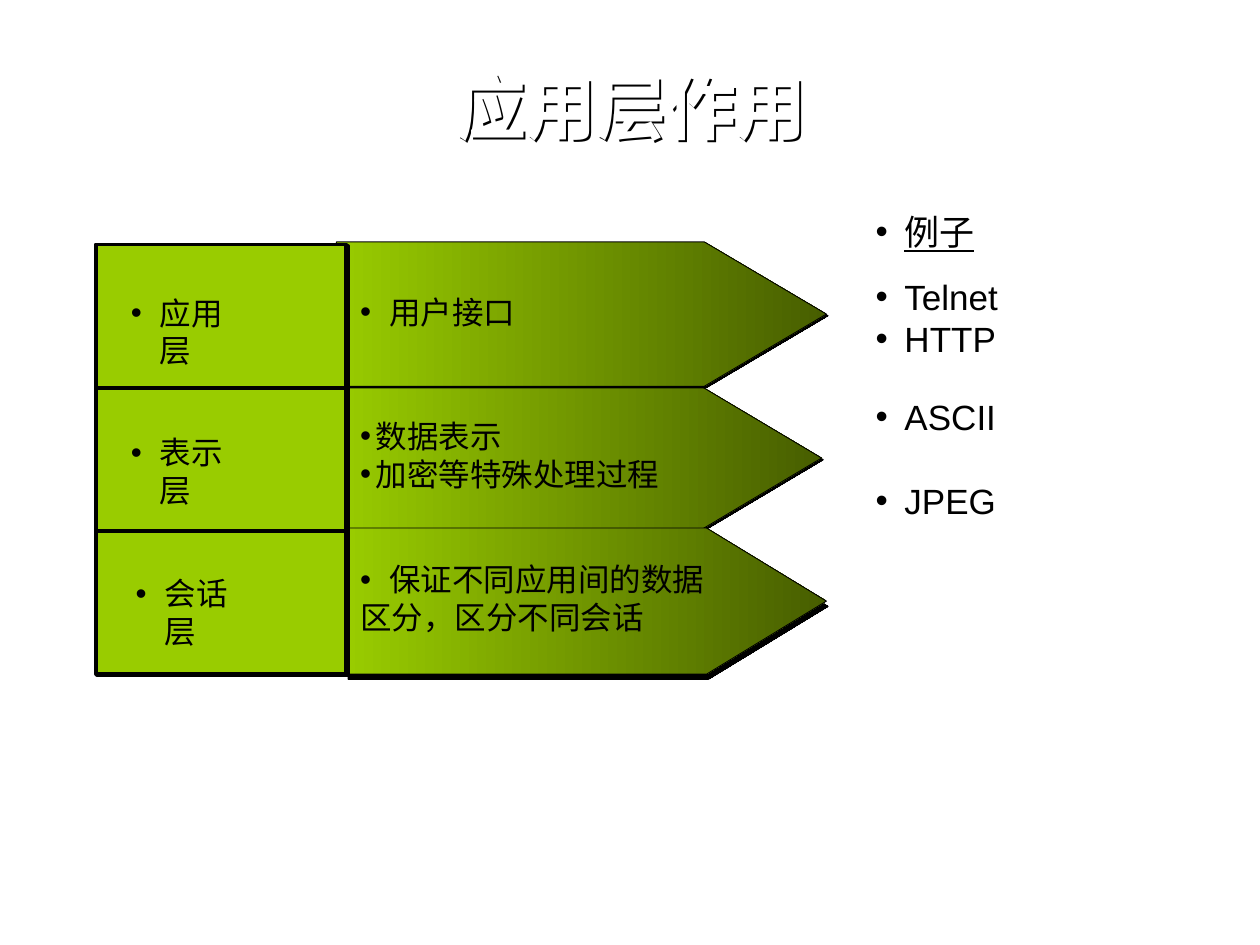
from lxml.etree import SubElement
from pptx import Presentation
from pptx.dml.color import RGBColor
from pptx.enum.shapes import MSO_SHAPE as Preset
from pptx.enum.text import MSO_ANCHOR as Anchor, PP_ALIGN as Align
from pptx.oxml.ns import qn
from pptx.util import Pt

FONT = "Arial"
GREEN, DARK_GREEN, BLACK, WHITE = "99CC00", "475E00", "000000", "FFFFFF"
ROW_PITCH = 81.75
HANG = 16.5

# Each layer: label, label box (dx, dy, width), duties, bullets per duty, hanging indent,
# arrow (dx, dy, shoulder dx, tip dx, height), shadow (distance, angle)
LAYERS = [
    ("应用层", (13, 24.5, 74), ["用户接口"], [True], HANG,
     (137.5, -1.5, 347.75, 417.5, 82.5), (1.4, 45)),
    ("表示层", (13, 22.5, 74), ["数据表示", "加密等特殊处理过程"], [True, True], 9,
     (137.5, -1, 345.5, 414.75, 82.5), (1.4, 45)),
    ("会话层", (15.75, 21.5, 83.5), ["保证不同应用间的数据", "区分，区分不同会话"],
     [True, False], HANG, (143.25, -1.5, 349, 417.5, 83.5), (3.2, 72)),
]

# Each group of examples: top, height, items, space between items
EXAMPLES = [
    (0, 31.5, ["例子"], 0),
    (36.75, 55.5, ["Telnet", "HTTP"], 0),
    (105.75, 79, ["ASCII", "JPEG"], 24),
]


def color(value):
    return RGBColor.from_string(value)


def cast_shadow(shape, distance, angle):
    shape.shadow.inherit = False
    effects = shape._element.spPr.find(qn("a:effectLst"))
    shadow = SubElement(effects, qn("a:outerShdw"), blurRad="0", dist=str(Pt(distance)),
                        dir=str(angle * 60000), algn="ctr", rotWithShape="0")
    SubElement(shadow, qn("a:srgbClr"), val=BLACK)


def set_outline(shape, width):
    shape.line.color.rgb = color(BLACK)
    shape.line.width = Pt(width)


def add_bullet(paragraph, hang):
    properties = paragraph._p.get_or_add_pPr()
    properties.set("marL", str(Pt(hang)))
    properties.set("indent", str(-Pt(hang)))
    SubElement(SubElement(properties, qn("a:buClr")), qn("a:srgbClr"), val=BLACK)
    SubElement(properties, qn("a:buFont"), typeface=FONT)
    SubElement(properties, qn("a:buChar"), char="•")


def add_list(slide, left, top, width, height, items, size, hang=HANG,
             bullets=(True, True), gap=0, anchor=Anchor.MIDDLE, underline=False):
    frame = slide.shapes.add_textbox(Pt(left), Pt(top), Pt(width), Pt(height)).text_frame
    frame.word_wrap = True
    frame.vertical_anchor = anchor
    for index, (item, bulleted) in enumerate(zip(items, bullets)):
        paragraph = frame.add_paragraph() if index else frame.paragraphs[0]
        paragraph.text = item
        if bulleted:
            add_bullet(paragraph, hang)
        if index and gap:
            paragraph.space_before = Pt(gap)
        font = paragraph.font
        font.name, font.size = FONT, Pt(size)
        font.color.rgb = color(BLACK)
        if underline:
            font.underline = True


def add_title(slide, left, top, width, height):
    title = slide.shapes.title
    title.left, title.top, title.width, title.height = map(Pt, (left, top, width, height))
    # Without a fill, the shadow falls from the white letters
    title.fill.background()
    cast_shadow(title, 2, 45)
    title.text_frame.vertical_anchor = Anchor.MIDDLE
    paragraph = title.text_frame.paragraphs[0]
    paragraph.text = "应用层作用"
    paragraph.alignment = Align.CENTER
    paragraph.line_spacing = 0.9
    font = paragraph.font
    font.name, font.size, font.bold = FONT, Pt(40), True
    font.color.rgb = color(WHITE)


def add_arrow(slide, left, top, arrow, shadow):
    dx, dy, shoulder, tip, height = arrow
    start, upper = left + dx, top + dy
    lower = upper + height
    outline = [(left + shoulder, upper), (left + tip, upper + height / 2),
               (left + shoulder, lower), (start, lower)]
    builder = slide.shapes.build_freeform(Pt(start), Pt(upper))
    builder.add_line_segments([(Pt(x), Pt(y)) for x, y in outline], close=True)
    shape = builder.convert_to_shape()
    shape.fill.gradient()
    shape.fill.gradient_angle = 0
    for stop, value in zip(shape.fill.gradient_stops, (GREEN, DARK_GREEN)):
        stop.color.rgb = color(value)
    set_outline(shape, 0.5)
    cast_shadow(shape, *shadow)


def add_layers(slide, left, top, width):
    tops = [top + ROW_PITCH * row for row in range(len(LAYERS))]

    # Arrows: the first lies over the second
    for row in (1, 0, 2):
        add_arrow(slide, left, tops[row], *LAYERS[row][5:])

    # Layer boxes, labels and duties
    for row_top, layer in zip(tops, LAYERS):
        label, (dx, dy, label_width), duties, bullets, hang = layer[:5]
        box = slide.shapes.add_shape(Preset.RECTANGLE, Pt(left), Pt(row_top),
                                     Pt(width), Pt(ROW_PITCH))
        box.fill.solid()
        box.fill.fore_color.rgb = color(GREEN)
        set_outline(box, 2.25)
        cast_shadow(box, 1.4, 45)
        add_list(slide, left + dx, row_top + dy, label_width, 29, [label], 18,
                 anchor=Anchor.TOP)
        add_list(slide, left + width + 0.75, row_top + 13.5, 225, 50, duties, 18,
                 hang, bullets)


def add_examples(slide, left, top, width):
    for row, (dy, height, items, gap) in enumerate(EXAMPLES):
        add_list(slide, left, top + dy, width, height, items, 20, gap=gap,
                 underline=row == 0)


def main():
    deck = Presentation()
    deck.slide_width, deck.slide_height = Pt(720), Pt(540)
    slide = deck.slides.add_slide(deck.slide_layouts.get_by_name("Title Only"))
    add_title(slide, 60.5, 18.75, 600.5, 90)
    add_layers(slide, 54.75, 139.75, 143.25)
    add_examples(slide, 493.25, 116.75, 142)
    deck.save("out.pptx")


if __name__ == "__main__":
    main()
